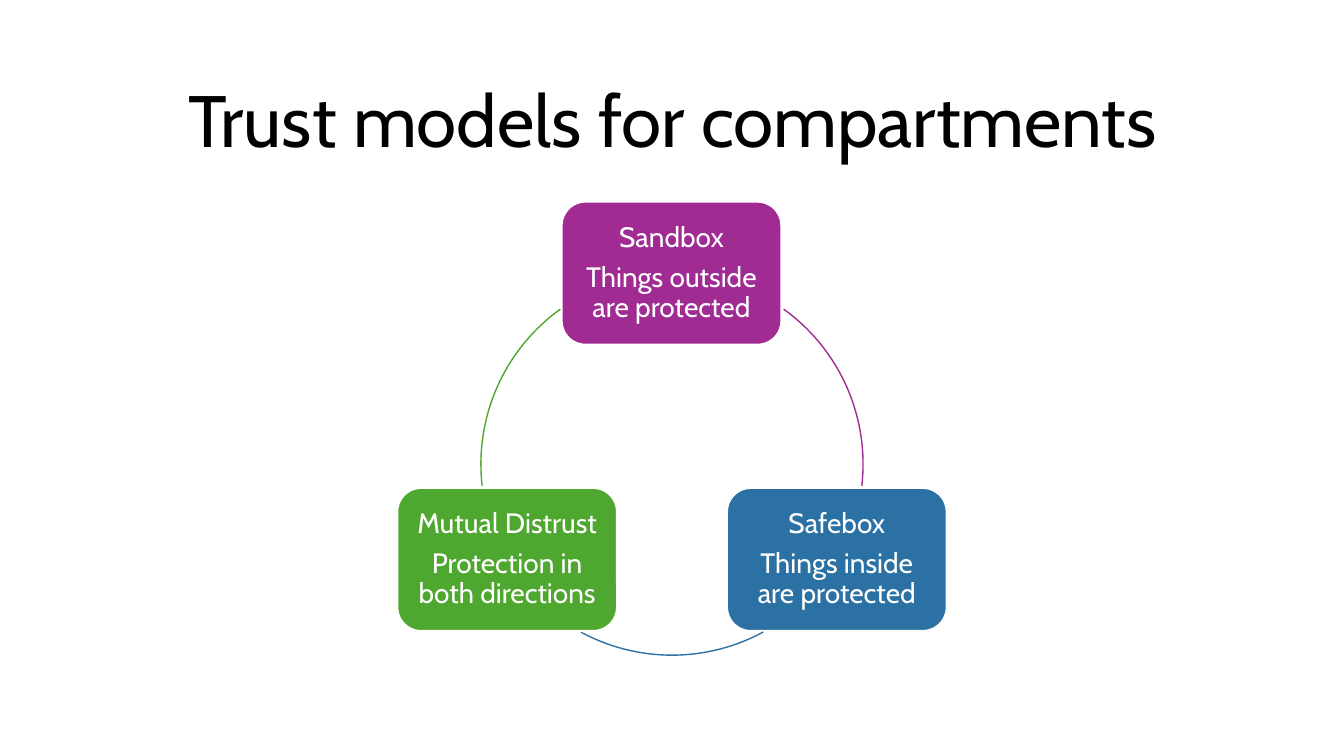
from pptx import Presentation
from pptx.dml.color import RGBColor
from pptx.enum.shapes import MSO_SHAPE
from pptx.enum.text import MSO_ANCHOR, PP_ALIGN
from pptx.util import Inches, Pt


def rgb(value):
    return RGBColor.from_string(value)


def add_text(tf, lines, size, color, inset, space_after):
    tf.word_wrap = True
    tf.vertical_anchor = MSO_ANCHOR.MIDDLE
    tf.margin_left = tf.margin_right = Inches(inset)
    tf.margin_top = tf.margin_bottom = Inches(inset)
    for i, line in enumerate(lines):
        p = tf.add_paragraph() if i else tf.paragraphs[0]
        p.alignment = PP_ALIGN.CENTER
        p.line_spacing = 0.9
        p.space_after = Pt(space_after)
        r = p.add_run()
        r.text = line
        r.font.name = "Cabin"
        r.font.size = Pt(size)
        r.font.color.rgb = rgb(color)


prs = Presentation()
prs.slide_width = Inches(13.33)
prs.slide_height = Inches(7.5)
s = prs.slides.add_slide(prs.slide_layouts[6])

title = s.shapes.add_textbox(Inches(0.92), Inches(0.61), Inches(11.5), Inches(1.24))
add_text(title.text_frame, ["Trust models for compartments"], 52, "000000", 0.08, 0)

BOX_W, BOX_H = 2.18, 1.42
RING_X, RING_Y, RING_D = 4.77, 2.71, 3.79

models = [
    ("Sandbox", "Things outside are protected", 5.57, 2, "A02B93", 305.75, 6.5),
    ("Safebox", "Things inside are protected", 7.21, 4.84, "2C71A4", 61.5, 118.5),
    ("Mutual Distrust", "Protection in both directions", 3.94, 4.84, "4EA72E", 173.5, 234.25),
]

for name, detail, x, y, color, start, end in models:
    box = s.shapes.add_shape(
        MSO_SHAPE.ROUNDED_RECTANGLE, Inches(x), Inches(y), Inches(BOX_W), Inches(BOX_H)
    )
    box.shadow.inherit = False
    box.fill.solid()
    box.fill.fore_color.rgb = rgb(color)
    box.line.color.rgb = rgb("FFFFFF")
    box.line.width = Pt(1.5)
    add_text(box.text_frame, [name, detail], 20, "FFFFFF", 0.08, 7)

    arc = s.shapes.add_shape(
        MSO_SHAPE.ARC, Inches(RING_X), Inches(RING_Y), Inches(RING_D), Inches(RING_D)
    )
    arc.shadow.inherit = False
    arc.adjustments[0] = start * 0.6
    arc.adjustments[1] = end * 0.6
    arc.fill.background()
    arc.line.color.rgb = rgb(color)
    arc.line.width = Pt(1)

prs.save("out.pptx")
